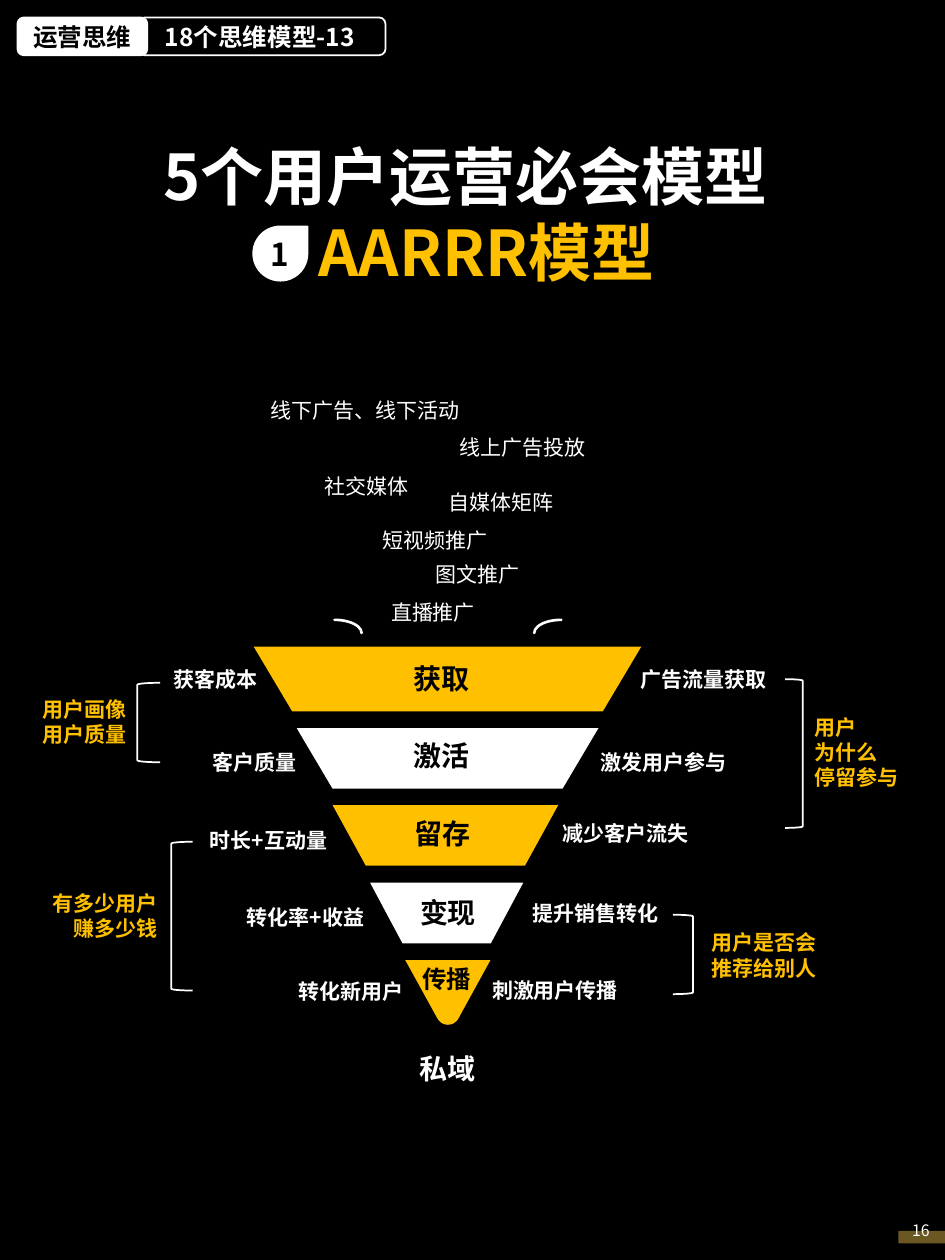
"""Build the AARRR user-operation funnel slide."""
from math import cos, radians, sin

from lxml import etree
from pptx import Presentation
from pptx.dml.color import RGBColor
from pptx.enum.shapes import MSO_SHAPE
from pptx.enum.text import MSO_ANCHOR, PP_ALIGN
from pptx.oxml.ns import qn
from pptx.util import Pt

LEFT, CENTER, RIGHT = PP_ALIGN.LEFT, PP_ALIGN.CENTER, PP_ALIGN.RIGHT
TOP, MIDDLE = MSO_ANCHOR.TOP, MSO_ANCHOR.MIDDLE
ARC, RECT, ROUND = MSO_SHAPE.ARC, MSO_SHAPE.RECTANGLE, MSO_SHAPE.ROUNDED_RECTANGLE
TEAR = MSO_SHAPE.TEAR
OPENING, CLOSING = MSO_SHAPE.LEFT_BRACKET, MSO_SHAPE.RIGHT_BRACKET

COLORS = {"black": "000000", "white": "FFFFFF", "gold": "FFC000", "bronze": "6B5722"}
FONT = "Noto Sans CJK SC"


def rgb(name):
    return RGBColor.from_string(COLORS[name])


def write(tf, text, size=12, color="white", bold=True, align=LEFT, anchor=TOP):
    tf.word_wrap = True
    tf.vertical_anchor = anchor
    for i, line in enumerate(text.split("\n")):
        p = tf.paragraphs[0] if i == 0 else tf.add_paragraph()
        p.alignment = align
        p.line_spacing = Pt(size * 1.2)
        r = p.add_run()
        r.text = line
        r.font.name, r.font.size, r.font.bold = FONT, Pt(size), bold
        r.font.color.rgb = rgb(color)
        etree.SubElement(r.font._element, qn("a:ea"), typeface=FONT)


class Deck:
    """Hold the slide and draw each kind of element on it."""

    def __init__(self, prs):
        self.s = prs.slides.add_slide(prs.slide_layouts[6])
        self.s.background.fill.solid()
        self.s.background.fill.fore_color.rgb = rgb("black")

    def paint(self, sp, fill=None, line=None, weight=1):
        sp.shadow.inherit = False
        if fill:
            sp.fill.solid()
            sp.fill.fore_color.rgb = rgb(fill)
        else:
            sp.fill.background()
        if line:
            sp.line.color.rgb = rgb(line)
            sp.line.width = Pt(weight)
        else:
            sp.line.fill.background()
        return sp

    def shape(self, kind, x, y, w, h, **style):
        sp = self.s.shapes.add_shape(kind, Pt(x), Pt(y), Pt(w), Pt(h))
        return self.paint(sp, **style)

    def badge(self, kind, x, y, w, h, text, indent=0, fill=None, **fmt):
        sp = self.shape(kind, x, y, w, h, fill=fill, line="white")
        tf = sp.text_frame
        tf.margin_left, tf.margin_right = Pt(indent), 0
        tf.margin_top = tf.margin_bottom = 0
        write(tf, text, anchor=MIDDLE, **fmt)

    def text(self, x, y, w, h, text, **fmt):
        tf = self.s.shapes.add_textbox(Pt(x), Pt(y), Pt(w), Pt(h)).text_frame
        write(tf, text, **fmt)
        return tf

    def polygon(self, points, fill):
        start, *rest = [(Pt(x), Pt(y)) for x, y in points]
        fb = self.s.shapes.build_freeform(*start)
        fb.add_line_segments(rest, close=True)
        self.paint(fb.convert_to_shape(), fill=fill)

    def arc(self, x, y, start, end):
        sp = self.shape(ARC, x, y, 31, 15.1, line="white", weight=1.5)
        for i, angle in enumerate((start, end)):
            sp.adjustments[i] = angle * 0.6
        sp.line._get_or_add_ln().set("cap", "rnd")


def main():
    prs = Presentation()
    prs.slide_width, prs.slide_height = Pt(540), Pt(720)
    deck = Deck(prs)

    tf = deck.text(76, 75, 380, 94.3, "5个用户运营必会模型\nAARRR模型", size=36, align=CENTER)
    model = tf.paragraphs[1]
    model.runs[0].font.color.rgb = rgb("gold")
    model._p.get_or_add_pPr().set("marL", str(Pt(24)))
    deck.badge(TEAR, 144.7, 129.4, 31, 31, "1", fill="white",
               size=18, color="black", align=CENTER)

    stages = [
        ("获取", 145, 369.5, 221.5, 37, 22, 223.9, 374.4),
        ("激活", 169.5, 416, 172.5, 34.6, 20.5, 223.9, 418.3),
        ("留存", 190, 460, 129, 34.6, 19, 224.6, 463),
        ("变现", 211.5, 504.4, 87.5, 34.6, 18.5, 227.5, 508.3),
    ]
    for i, (name, x, y, w, h, inset, tx, ty) in enumerate(stages):
        deck.polygon([(x, y), (x + w, y), (x + w - inset, y + h), (x + inset, y + h)],
                     "white" if i % 2 else "gold")
        deck.text(tx, ty, 56.9, 26.6, name, size=16, color="black", align=CENTER)
    tip = [(256 + 6.8 * cos(radians(a)), 578.8 + 6.8 * sin(radians(a)))
           for a in range(30, 151, 10)]
    deck.polygon([(231.6, 548.6), (280.3, 548.6)] + tip, "gold")
    deck.text(226.8, 547.2, 56.9, 24.5, "传播", size=14, color="black", align=CENTER)
    deck.text(208, 597.6, 95.8, 26.6, "私域", size=16, align=CENTER)

    labels = [
        ("获客成本", 91.4, 377.3, 63.4), ("广告流量获取", 352, 377.3, 100),
        ("客户质量", 113.8, 424.8, 63.4), ("激发用户参与", 328.3, 424.8, 101.5),
        ("时长+互动量", 107.4, 469.4, 92), ("减少客户流失", 311.8, 465.1, 91.4),
        ("转化率+收益", 128.6, 513.4, 92), ("提升销售转化", 295.2, 511.2, 90),
        ("转化新用户", 159.1, 555.8, 83.5), ("刺激用户传播", 269.3, 555.1, 95.8),
    ]
    for text, x, y, w in labels:
        deck.text(x, y, w, 21.6, text, align=CENTER)

    channels = [
        ("线下广告、线下活动", 147.6, 223.9, 144.7), ("线上广告投放", 255.6, 244.8, 90),
        ("社交媒体", 178.6, 267.1, 77.8), ("自媒体矩阵", 249.1, 276.5, 82.8),
        ("短视频推广", 211.3, 298.1, 82.8), ("图文推广", 241.9, 317.5, 64),
        ("直播推广", 216.4, 339.1, 64),
    ]
    for text, x, y, w in channels:
        deck.text(x, y, w, 21.6, text, bold=False)
    deck.arc(175.7, 354.2, 270, 0)
    deck.arc(305.3, 354.2, 180, 270)

    brackets = [
        (OPENING, 78.5, 390.2, 13, 45.4), (OPENING, 97.9, 481, 12.2, 85),
        (CLOSING, 384.5, 522.7, 11.5, 45.4), (CLOSING, 448.6, 388.1, 10.1, 85),
    ]
    for bracket in brackets:
        deck.shape(*bracket, line="white")

    notes = [
        ("用户画像\n用户质量", 10.1, 394.6, 69.1, RIGHT),
        ("有多少用户\n赚多少钱", 19.4, 505.4, 77.8, RIGHT),
        ("用户\n为什么\n停留参与", 458.6, 404.6, 79.2, LEFT),
        ("用户是否会\n推荐给别人", 399.6, 527.8, 79.2, LEFT),
    ]
    for text, x, y, w, align in notes:
        deck.text(x, y, w, 7.2 + 14.4 * len(text.split("\n")), text, color="gold", align=align)

    deck.shape(RECT, 513.4, 703.4, 26.6, 7.2, fill="bronze")
    deck.text(514.1, 694.1, 25.9, 18, "16", size=9, bold=False)
    deck.badge(ROUND, 79.2, 10, 141.1, 21.6, "18个思维模型-13", indent=14, size=14)
    deck.badge(ROUND, 10, 10, 74.2, 21.6, "运营思维", fill="white",
               size=14, color="black", align=CENTER)
    prs.save("out.pptx")


if __name__ == "__main__":
    main()
